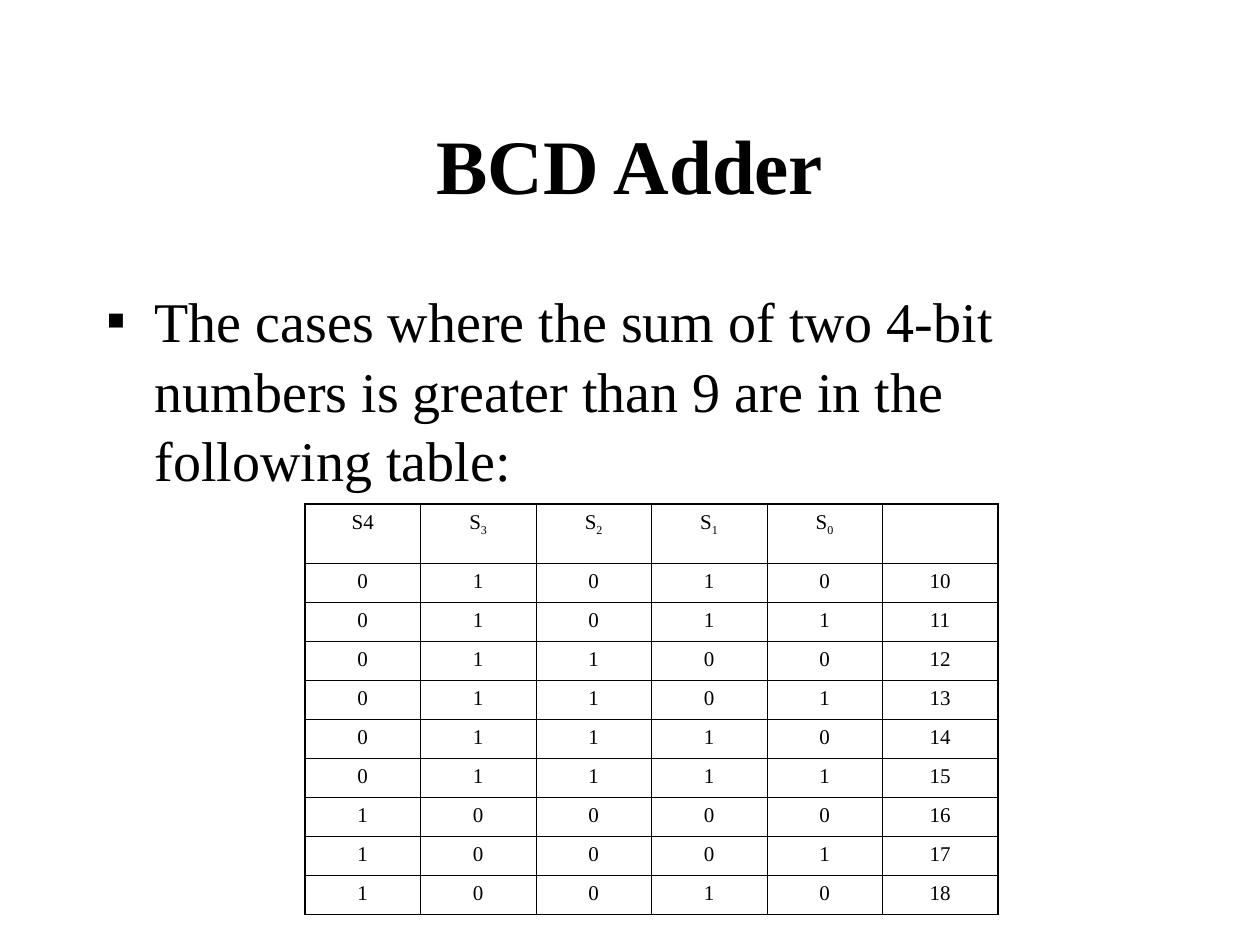
from lxml import etree
from pptx import Presentation
from pptx import util as u
from pptx.dml.color import RGBColor
from pptx.enum import text as t
from pptx.oxml.ns import qn

Inches = u.Inches
COLORS = {"ink": "000000"}
FONT = "Times New Roman"
THIN, THICK = 0.45, 1.08

HEADERS = [("S4", ""), ("S", "3"), ("S", "2"), ("S", "1"), ("S", "0"), ("", "")]
SUMS = range(10, 19)
BITS = 5


def write_text(frame, text, size=12, bold=False, align=t.PP_ALIGN.CENTER,
               subscript="", bullet="", line_spacing=None):
    paragraph = frame.paragraphs[0]
    paragraph.alignment = align
    if line_spacing:
        paragraph.line_spacing = line_spacing
    if bullet:
        add_bullet(paragraph, bullet)
    for part, baseline in ((text, None), (subscript, "-25000")):
        if not part:
            continue
        run = paragraph.add_run()
        run.text = part
        run.font.name = FONT
        run.font.size = u.Pt(size)
        run.font.bold = bold
        run.font.color.rgb = RGBColor.from_string(COLORS["ink"])
        if baseline:
            run.font._element.set("baseline", baseline)


def add_bullet(paragraph, character):
    properties = paragraph._p.get_or_add_pPr()
    properties.set("marL", str(Inches(0.38)))
    properties.set("indent", str(-Inches(0.38)))
    etree.SubElement(properties, qn("a:buFont")).set("typeface", FONT)
    etree.SubElement(properties, qn("a:buChar")).set("char", character)


def add_text_box(slide, left, top, width, height, text, anchor, top_inset=0.05, **style):
    frame = slide.shapes.add_textbox(
        Inches(left), Inches(top), Inches(width), Inches(height)).text_frame
    frame.word_wrap = True
    frame.vertical_anchor = anchor
    frame.margin_top = Inches(top_inset)
    write_text(frame, text, **style)


def set_borders(cell, widths):
    properties = cell._tc.get_or_add_tcPr()
    for position, (side, width) in enumerate(widths.items()):
        line = etree.Element(qn(f"a:ln{side}"), w=str(u.Pt(width)))
        fill = etree.SubElement(line, qn("a:solidFill"))
        etree.SubElement(fill, qn("a:srgbClr")).set("val", COLORS["ink"])
        properties.insert(position, line)


def add_sum_table(slide):
    # Each row holds the five bits of a sum, then the sum in decimal
    rows = [HEADERS] + [
        [(digit, "") for digit in f"{total:0{BITS}b}"] + [(str(total), "")]
        for total in SUMS]
    last_row, last_column = len(rows) - 1, len(HEADERS) - 1
    table = slide.shapes.add_table(
        len(rows), len(HEADERS), Inches(2.42), Inches(4), Inches(5.5), Inches(3.25)).table
    table.first_row = table.horz_banding = False

    for column in table.columns:
        column.width = Inches(5.5 / len(HEADERS))
    for r, row in enumerate(rows):
        table.rows[r].height = Inches(0.31 if r else 0.47)
        for c, (text, subscript) in enumerate(row):
            cell = table.cell(r, c)
            cell.fill.background()
            write_text(cell.text_frame, text, subscript=subscript)
            # Thick outline, thin inner lines
            set_borders(cell, {
                "L": THICK if c == 0 else THIN,
                "R": THICK if c == last_column else THIN,
                "T": THICK if r == 0 else THIN,
                "B": THICK if r == last_row else THIN})


def main():
    presentation = Presentation()
    presentation.slide_width, presentation.slide_height = Inches(10), Inches(7.5)
    slide = presentation.slides.add_slide(presentation.slide_layouts[6])

    # Title
    add_text_box(slide, 0.75, 0.67, 8.5, 1.25, "BCD Adder",
                 t.MSO_ANCHOR.MIDDLE, size=44, bold=True)

    # Introduction
    add_text_box(slide, 0.75, 2.17, 8.5, 4.5,
                 "The cases where the sum of two 4-bit numbers is greater than 9 "
                 "are in the following table:",
                 t.MSO_ANCHOR.TOP, top_inset=0.08, size=32,
                 align=t.PP_ALIGN.LEFT, bullet="▪", line_spacing=1.04)

    # Table of sums
    add_sum_table(slide)

    presentation.save("out.pptx")


if __name__ == "__main__":
    main()
